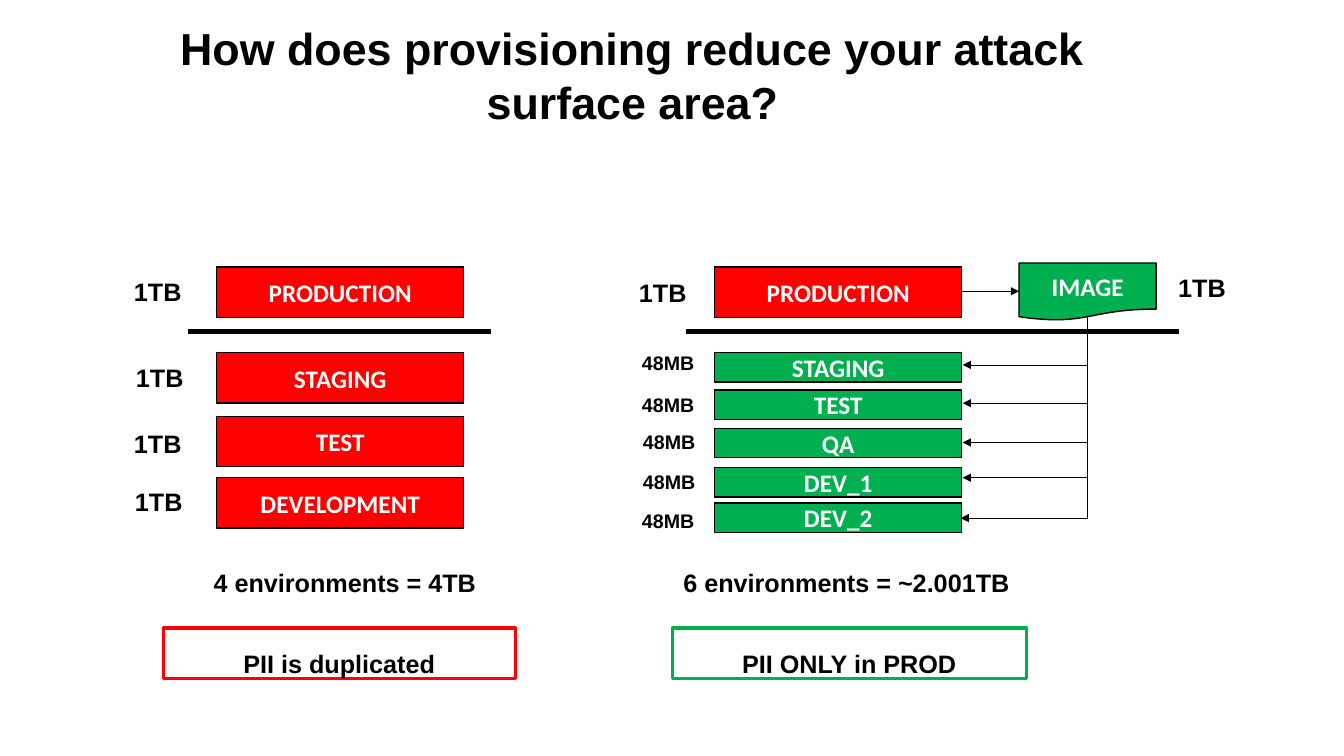
from dataclasses import dataclass

from lxml.etree import SubElement
from pptx import Presentation
from pptx.dml.color import RGBColor
from pptx.enum.shapes import MSO_CONNECTOR as Connector, MSO_SHAPE as Preset
from pptx.enum.text import MSO_ANCHOR as Anchor, MSO_AUTO_SIZE as AutoSize, PP_ALIGN as Align
from pptx.oxml.ns import qn
from pptx.util import Inches, Pt

# Grid: square cells of a tenth of an inch
COLUMNS, ROWS = 133.33, 75
CELL = Inches(0.1)

RED, GREEN, BLACK, WHITE = "FF0000", "00B050", "000000", "FFFFFF"


@dataclass(frozen=True)
class Area:
    column: float
    row: float
    columns: float
    rows: float


@dataclass(frozen=True)
class Environment:
    name: str
    row: float
    size: str
    size_column: float
    size_row: float
    color: str
    rows: float = 5
    arrow_row: float | None = None
    arrow_end: float = 95.5


@dataclass(frozen=True)
class Side:
    column: float
    divider_start: float
    divider_end: float
    environments: list[Environment]
    total: str
    total_area: Area
    verdict: str
    verdict_area: Area
    verdict_color: str


BOX_COLUMNS = 24.5
DIVIDER_ROW = 32.9
TRUNK_COLUMN = 107.9

DUPLICATED = Side(
    21.5, 18.7, 48.7,
    [
        Environment("PRODUCTION", 26.5, "1TB", 12.3, 26.9, RED),
        Environment("STAGING", 35, "1TB", 12.5, 35.5, RED),
        Environment("TEST", 41.3, "1TB", 12.3, 42, RED),
        Environment("DEVELOPMENT", 47.4, "1TB", 12.4, 47.8, RED),
    ],
    "4 environments = 4TB", Area(20.2, 54.3, 29.2, 5),
    "PII is duplicated", Area(16.2, 62.3, 34.9, 5), RED,
)
PROVISIONED = Side(
    70.9, 68.1, 117,
    [
        Environment("PRODUCTION", 26.5, "1TB", 62.4, 27, RED),
        Environment("STAGING", 35, "48MB", 62.7, 34.3, GREEN, 2.9, 36.2),
        Environment("TEST", 38.7, "48MB", 62.7, 38.5, GREEN, 2.9, 40),
        Environment("QA", 42.5, "48MB", 62.8, 42.2, GREEN, 2.9, 43.9),
        Environment("DEV_1", 46.4, "48MB", 62.8, 46.1, GREEN, 2.9, 47.4),
        Environment("DEV_2", 49.9, "48MB", 62.7, 50, GREEN, 2.9, 51.4, 95.3),
    ],
    "6 environments = ~2.001TB", Area(66.8, 54.3, 35.1, 5),
    "PII ONLY in PROD", Area(66.7, 62.3, 35.1, 5), GREEN,
)


def cells(count: float) -> int:
    return round(count * CELL)


def place(area: Area) -> tuple[int, int, int, int]:
    return cells(area.column), cells(area.row), cells(area.columns), cells(area.rows)


def rgb(color: str) -> RGBColor:
    return RGBColor.from_string(color)


def write(shape, text: str, size: float, color: str = BLACK, font: str = "Arial",
          align: Align = Align.LEFT, anchor: Anchor = Anchor.TOP,
          spacing: float = 1.0, grow: bool = True) -> None:
    frame = shape.text_frame
    frame.word_wrap = True
    frame.auto_size = AutoSize.SHAPE_TO_FIT_TEXT if grow else AutoSize.NONE
    frame.vertical_anchor = anchor
    paragraph = frame.paragraphs[0]
    paragraph.alignment = align
    paragraph.line_spacing = spacing
    run = paragraph.add_run()
    run.text = text
    run.font.name = font
    run.font.size = Pt(size)
    run.font.bold = True
    run.font.color.rgb = rgb(color)


def add_label(slide, area: Area, text: str, size: float, spacing: float = 1.0) -> None:
    write(slide.shapes.add_textbox(*place(area)), text, size, spacing=spacing)


def add_block(slide, area: Area, line: str, width: float, fill: str | None = None,
              preset: Preset = Preset.RECTANGLE):
    shape = slide.shapes.add_shape(preset, *place(area))
    shape.shadow.inherit = False
    if fill:
        shape.fill.solid()
        shape.fill.fore_color.rgb = rgb(fill)
    else:
        shape.fill.background()
    shape.line.color.rgb = rgb(line)
    shape.line.width = Pt(width)
    return shape


def add_system(slide, area: Area, name: str, color: str,
               preset: Preset = Preset.RECTANGLE) -> None:
    shape = add_block(slide, area, BLACK, 1, color, preset)
    write(shape, name, 18, WHITE, "Calibri", Align.CENTER, Anchor.MIDDLE, grow=False)


def add_line(slide, start: tuple[float, float], end: tuple[float, float],
             width: float = 0.5, arrow: bool = False) -> None:
    points = [cells(value) for value in (*start, *end)]
    connector = slide.shapes.add_connector(Connector.STRAIGHT, *points)
    connector.line.color.rgb = rgb(BLACK)
    connector.line.width = Pt(width)
    if arrow:
        SubElement(connector.line._get_or_add_ln(), qn("a:tailEnd"), type="triangle")
    SubElement(connector._element.spPr, qn("a:effectLst"))


def add_side(slide, side: Side) -> None:
    # Environments with their sizes and incoming arrows
    for item in side.environments:
        add_system(slide, Area(side.column, item.row, BOX_COLUMNS, item.rows),
                   item.name, item.color)
        large = item.size == "1TB"
        add_label(slide, Area(item.size_column, item.size_row, 7.9, 4 if large else 3.4),
                  item.size, 18 if large else 14)
        if item.arrow_row is not None:
            add_line(slide, (TRUNK_COLUMN, item.arrow_row),
                     (item.arrow_end, item.arrow_row), arrow=True)

    # Divider, total and verdict
    add_line(slide, (side.divider_start, DIVIDER_ROW), (side.divider_end, DIVIDER_ROW), 4)
    add_label(slide, side.total_area, side.total, 18, 1.5)
    verdict = add_block(slide, side.verdict_area, side.verdict_color, 2.25)
    write(verdict, side.verdict, 18, align=Align.CENTER, spacing=1.5)


def main() -> None:
    presentation = Presentation()
    presentation.slide_width = cells(COLUMNS)
    presentation.slide_height = cells(ROWS)
    slide = presentation.slides.add_slide(presentation.slide_layouts[5])

    # Title
    title = slide.shapes.title
    title.left, title.top, title.width, title.height = place(Area(10.8, 1.6, 103.9, 11.8))
    write(title, "How does provisioning reduce your attack surface area?", 32,
          align=Align.CENTER)

    # Both ways of copying production
    for side in (DUPLICATED, PROVISIONED):
        add_side(slide, side)

    # Image that feeds the provisioned environments
    add_line(slide, (95.3, 28.9), (101.1, 28.9), arrow=True)
    add_line(slide, (TRUNK_COLUMN, 31.4), (TRUNK_COLUMN, 51.4))
    add_system(slide, Area(101.1, 26.1, 13.6, 5.7), "IMAGE", GREEN, Preset.FLOWCHART_DOCUMENT)
    add_label(slide, Area(115.9, 26.5, 7.9, 4), "1TB", 18)

    presentation.save("out.pptx")


if __name__ == "__main__":
    main()
